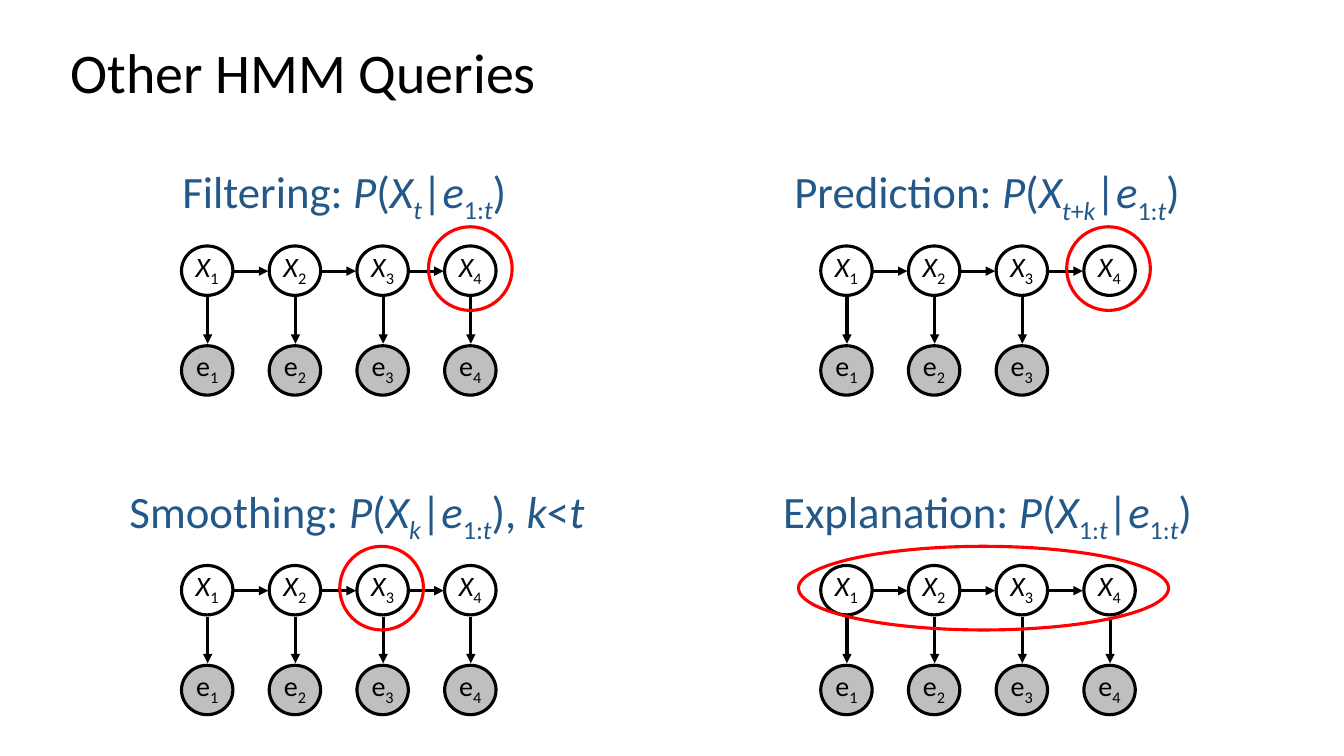
"""Build the slide that compares four hidden Markov model queries."""
from lxml.etree import SubElement
from pptx import Presentation
from pptx.dml.color import RGBColor
from pptx.enum.shapes import MSO_CONNECTOR as Connector, MSO_SHAPE as Shape
from pptx.enum.text import MSO_ANCHOR as Anchor, MSO_AUTO_SIZE as AutoSize, PP_ALIGN as Align
from pptx.oxml.ns import qn
from pptx.util import Inches, Pt

COLORS = {name: RGBColor.from_string(value) for name, value in {
    "black": "000000", "white": "FFFFFF", "gray": "BFBFBF",
    "blue": "235888", "red": "FF0000"}.items()}
PLAIN, ITALIC, SUB, ITALIC_SUB = "", "i", "s", "is"
GIVEN_EVIDENCE = [("|", PLAIN), ("e", ITALIC), ("1:", SUB), ("t", ITALIC_SUB)]
STATE = [("P", ITALIC), ("(", PLAIN), ("X", ITALIC)]
CLOSE = [(")", PLAIN)]

QUERIES = [
    {"heading": [("Filtering: ", PLAIN), *STATE, ("t", ITALIC_SUB), *GIVEN_EVIDENCE, *CLOSE],
     "box": (1.5, 1.58, 3.83, 0.67), "chain": (1.8, 2.44), "evidence": 4,
     "highlight": (4.25, 2.25, 0.83, 0.83)},
    {"heading": [("Prediction: ", PLAIN), *STATE, ("t", ITALIC_SUB), ("+", SUB),
                 ("k", ITALIC_SUB), *GIVEN_EVIDENCE, *CLOSE],
     "box": (7.58, 1.58, 4.42, 0.67), "chain": (8.14, 2.44), "evidence": 3,
     "highlight": (10.58, 2.25, 0.83, 0.83)},
    {"heading": [("Smoothing: ", PLAIN), *STATE, ("k", ITALIC_SUB), *GIVEN_EVIDENCE,
                 ("), ", PLAIN), ("k", ITALIC), ("<", PLAIN), ("t", ITALIC)],
     "box": (1, 4.75, 5.08, 0.67), "chain": (1.8, 5.61), "evidence": 4,
     "highlight": (3.37, 5.42, 0.83, 0.83)},
    {"heading": [("Explanation: ", PLAIN), *STATE, ("1:", SUB), ("t", ITALIC_SUB),
                 *GIVEN_EVIDENCE, *CLOSE],
     "box": (7.17, 4.75, 5.25, 0.67), "chain": (8.14, 5.61), "evidence": 4,
     "highlight": (7.92, 5.42, 3.67, 0.83)},
]
STEPS = 4
STEP_WIDTH, ROW_HEIGHT = 0.87, 0.99
NODE_WIDTH, NODE_HEIGHT = 0.51, 0.49


def set_format(target, values):
    for name, value in values.items():
        setattr(target, name, value)


def write_runs(paragraph, runs, size, color):
    for text, style in runs:
        run = paragraph.add_run()
        run.text = text
        set_format(run.font, {"name": "Calibri", "size": Pt(size), "italic": "i" in style})
        run.font.color.rgb = COLORS[color]
        if "s" in style:
            run.font._element.set("baseline", "-25000")


presentation = Presentation()
set_format(presentation, {"slide_width": Inches(13.33), "slide_height": Inches(7.5)})
slide = presentation.slides.add_slide(presentation.slide_layouts[1])

title, body = slide.placeholders
set_format(title, dict(zip(("left", "top", "width", "height"), map(Inches, (0.6, 0.4, 11.5, 0.69)))))
set_format(title.text_frame, {"vertical_anchor": Anchor.MIDDLE, "auto_size": AutoSize.NONE})
title_paragraph = title.text_frame.paragraphs[0]
set_format(title_paragraph, {"alignment": Align.LEFT, "line_spacing": 0.9})
write_runs(title_paragraph, [("Other HMM Queries", PLAIN)], 40, "black")

for index, query in enumerate(QUERIES):
    box = [Inches(value) for value in query["box"]]
    heading = slide.shapes.add_textbox(*box) if index else body
    set_format(heading, dict(zip(("left", "top", "width", "height"), box)))
    set_format(heading.text_frame, {"word_wrap": True, "auto_size": AutoSize.NONE,
                                    "vertical_anchor": Anchor.TOP})
    paragraph = heading.text_frame.paragraphs[0]
    set_format(paragraph, {"alignment": Align.CENTER, "space_before": Pt(0)})
    if heading is body:
        paragraph.line_spacing = 0.9
        properties = paragraph._p.get_or_add_pPr()
        properties.set("marL", "0")
        properties.set("indent", "0")
        SubElement(properties, qn("a:buNone"))
    write_runs(paragraph, query["heading"], 32, "blue")

    chain = slide.shapes.add_group_shape()
    chain_left, chain_top = query["chain"]
    arrows = []
    for step in range(STEPS):
        left = chain_left + step * STEP_WIDTH
        nodes = [("X", ITALIC, "white", chain_top)]
        if step < STEPS - 1:
            arrows.append((left + 0.52, chain_top + 0.25, left + 0.86, chain_top + 0.25))
        if step < query["evidence"]:
            nodes.append(("e", PLAIN, "gray", chain_top + ROW_HEIGHT))
            arrows.append((left + 0.26, chain_top + 0.51, left + 0.26, chain_top + 0.97))
        for letter, style, fill, top in nodes:
            node = chain.shapes.add_shape(Shape.OVAL, Inches(left), Inches(top),
                                          Inches(NODE_WIDTH), Inches(NODE_HEIGHT))
            node.shadow.inherit = False
            node.fill.solid()
            node.fill.fore_color.rgb = COLORS[fill]
            node.line.color.rgb = COLORS["black"]
            node.line.width = Pt(2.25)
            set_format(node.text_frame, {
                "word_wrap": False, "vertical_anchor": Anchor.MIDDLE,
                "margin_left": Inches(0.1), "margin_right": Inches(0.1),
                "margin_top": 0, "margin_bottom": Inches(0.05)})
            label = node.text_frame.paragraphs[0]
            label.alignment = Align.CENTER
            write_runs(label, [(letter, style), (str(step + 1), SUB)], 20, "black")

    for ends in arrows:
        arrow = chain.shapes.add_connector(Connector.STRAIGHT, *map(Inches, ends))
        arrow.line.color.rgb = COLORS["black"]
        arrow.line.width = Pt(2.25)
        SubElement(arrow.line._get_or_add_ln(), qn("a:tailEnd"), type="triangle")
        SubElement(arrow._element.spPr, qn("a:effectLst"))

for query in QUERIES:
    highlight = slide.shapes.add_shape(Shape.OVAL, *map(Inches, query["highlight"]))
    highlight.shadow.inherit = False
    highlight.fill.background()
    highlight.line.color.rgb = COLORS["red"]
    highlight.line.width = Pt(2.25)

presentation.save("out.pptx")
